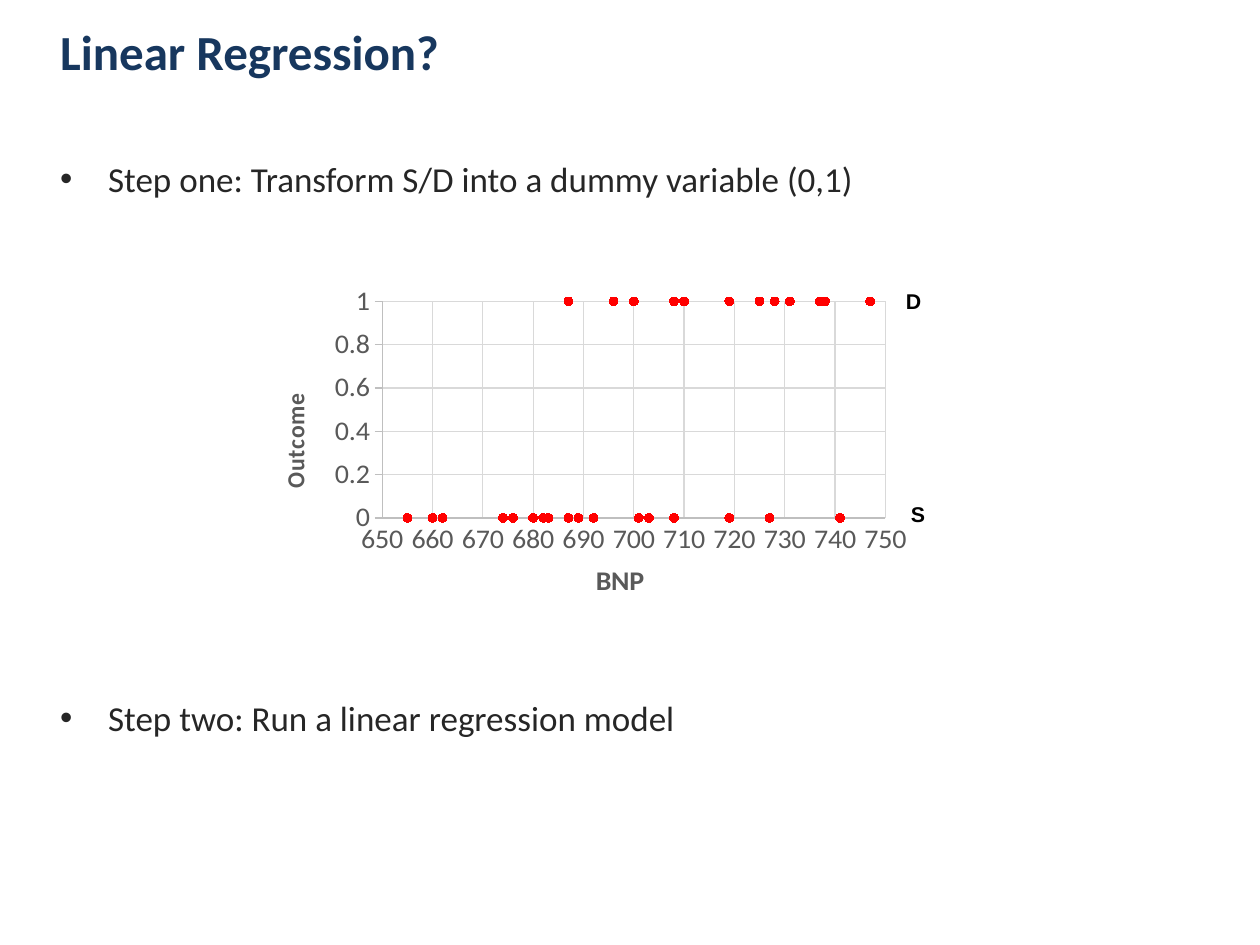
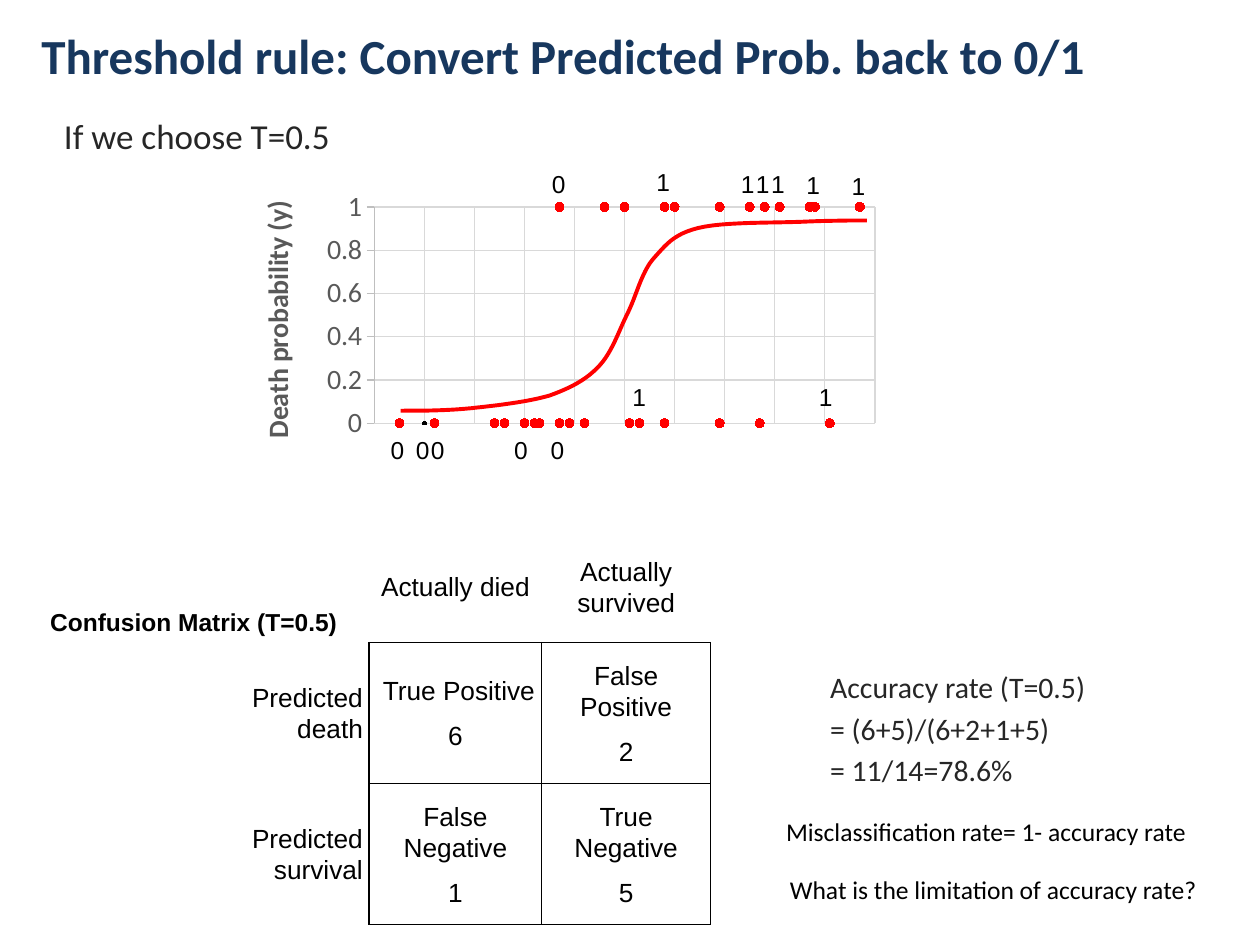
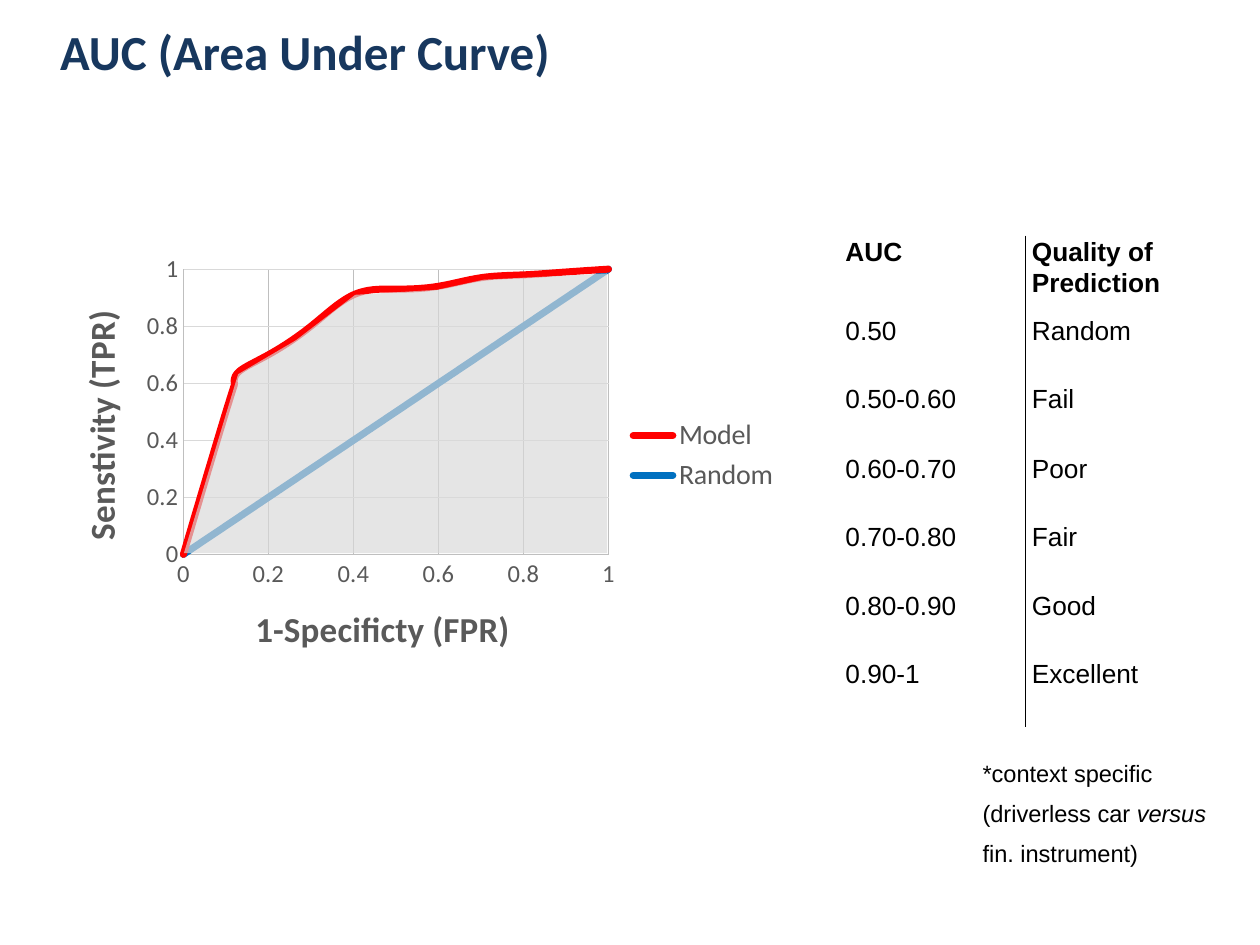
"""Build three slides on classification: regression, threshold rule and AUC."""
from dataclasses import dataclass
from typing import NamedTuple, Optional

from lxml import etree
from pptx import Presentation
from pptx.chart.data import XyChartData
from pptx.dml.color import RGBColor
from pptx.enum.chart import XL_CHART_TYPE, XL_LEGEND_POSITION, XL_MARKER_STYLE, XL_TICK_MARK
from pptx.enum.text import MSO_ANCHOR, PP_ALIGN
from pptx.oxml import parse_xml
from pptx.oxml.ns import nsdecls, qn
from pptx.util import Emu, Pt

SCATTER = XL_CHART_TYPE.XY_SCATTER
SMOOTH = XL_CHART_TYPE.XY_SCATTER_SMOOTH_NO_MARKERS
LEGEND_RIGHT = XL_LEGEND_POSITION.RIGHT
CIRCLE, NO_MARKER = XL_MARKER_STYLE.CIRCLE, XL_MARKER_STYLE.NONE
TICK_OUT, TICK_NONE = XL_TICK_MARK.OUTSIDE, XL_TICK_MARK.NONE
TOP, MIDDLE = MSO_ANCHOR.TOP, MSO_ANCHOR.MIDDLE
LEFT, CENTER, RIGHT = PP_ALIGN.LEFT, PP_ALIGN.CENTER, PP_ALIGN.RIGHT

SCALE = 9144
COLORS = {
    "title": "17375E", "body": "262626", "black": "000000", "red": "FF0000", "blue": "0070C0",
    "axis": "595959", "line": "BFBFBF", "grid": "D9D9D9",
}
SANS, HEAD = "Arial", "Calibri"


class Box(NamedTuple):
    """Position and size in px."""
    left: int
    top: int
    width: int
    height: int


class Run(NamedTuple):
    """A piece of text with one style."""
    text: str
    italic: bool = False


class Insets(NamedTuple):
    """Inner margins in px."""
    left: int = 10
    top: int = 5
    right: int = 10
    bottom: int = 5


@dataclass(frozen=True)
class Label:
    """A text box; each paragraph is a tuple of runs."""
    box: Box
    paragraphs: tuple[tuple[Run, ...], ...]
    size: float
    font: str = SANS
    color: str = "black"
    bold: bool = False
    gap: float = 0
    wrap: bool = False
    anchor: MSO_ANCHOR = TOP
    bullet: bool = False
    insets: Insets = Insets()


@dataclass(frozen=True)
class Axis:
    """Scale, title and look of a chart axis."""
    low: Optional[float]
    high: float
    step: Optional[float]
    size: int
    title: str = ""
    title_size: int = 16
    title_at: tuple[float, float] = (0, 0)
    grid: str = "grid"
    tick: XL_TICK_MARK = TICK_NONE
    visible: bool = True


@dataclass(frozen=True)
class Series:
    """Named points of a scatter chart."""
    name: str
    points: tuple[tuple[float, float], ...]
    color: str


@dataclass(frozen=True)
class Plot:
    """A scatter chart with a fixed inner plot area."""
    box: Box
    kind: XL_CHART_TYPE
    area: tuple[float, float, float, float]
    x: Axis
    y: Axis
    series: tuple[Series, ...]
    legend: bool = False
    dots: tuple[int, ...] = ()


@dataclass(frozen=True)
class Grid:
    """A table; edges names the ruled sides of each cell."""
    left: int
    top: int
    cols: tuple[int, ...]
    rows: tuple[int, ...]
    cells: tuple[tuple[str, ...], ...]
    edges: tuple[tuple[str, ...], ...]
    aligns: tuple[PP_ALIGN, ...]
    anchor: MSO_ANCHOR = TOP
    gap: int = 0
    bold_head: bool = False


def px(n: float) -> Emu:
    """Turn px into EMU."""
    return Emu(round(n * SCALE))


def rgb(name: str) -> RGBColor:
    """Look up a colour."""
    return RGBColor.from_string(COLORS[name])


def style(font, size: float, face: str, color: str, bold: bool = False) -> None:
    """Set the font of a run, paragraph or chart part."""
    font.size, font.name, font.bold = Pt(size), face, bold
    font.color.rgb = rgb(color)


def lines(*texts: str) -> tuple[tuple[Run, ...], ...]:
    """Make one plain paragraph per text."""
    return tuple((Run(text),) for text in texts)


def add_label(s, label: Label) -> None:
    """Draw a text box."""
    tf = s.shapes.add_textbox(*map(px, label.box)).text_frame
    tf.word_wrap, tf.vertical_anchor = label.wrap, label.anchor
    tf.margin_left, tf.margin_top, tf.margin_right, tf.margin_bottom = map(px, label.insets)
    for i, runs in enumerate(label.paragraphs):
        p = tf.add_paragraph() if i else tf.paragraphs[0]
        if i:
            p.space_before = Pt(label.gap)
        if label.bullet:
            pPr = p._p.get_or_add_pPr()
            pPr.set("marL", str(px(38)))
            pPr.set("indent", str(px(-38)))
            etree.SubElement(pPr, qn("a:buFont")).set("typeface", SANS)
            etree.SubElement(pPr, qn("a:buChar")).set("char", "•")
        for run in runs:
            r = p.add_run()
            r.text = run.text
            style(r.font, label.size, label.font, label.color, label.bold)
            r.font.italic = run.italic


def add_title(s, text: str, left: int = 38, top: int = 5, width: int = 820) -> None:
    """Draw a slide title."""
    add_label(s, Label(Box(left, top, width, 71), lines(text), 28, HEAD, "title", True,
                       wrap=True, anchor=MIDDLE))


def set_layout(parent, index: int, values: tuple[float, ...], inner: bool = False) -> None:
    """Fix the place of a chart part as fractions of the chart."""
    for old in parent.findall(qn("c:layout")):
        parent.remove(old)
    target = '<c:layoutTarget val="inner"/>' if inner else ""
    modes = '<c:xMode val="edge"/><c:yMode val="edge"/>'
    sizes = "".join(f'<c:{tag} val="{v}"/>' for tag, v in zip("xywh", values))
    parent.insert(index, parse_xml(
        f'<c:layout {nsdecls("c")}><c:manualLayout>{target}{modes}{sizes}</c:manualLayout></c:layout>'))


def format_axis(axis, look: Axis, turned: bool) -> None:
    """Apply scale, lines, labels and title to an axis."""
    axis.minimum_scale, axis.maximum_scale, axis.major_unit = look.low, look.high, look.step
    axis.major_tick_mark, axis.minor_tick_mark = look.tick, TICK_NONE
    axis.has_major_gridlines, axis.visible = True, look.visible
    for line, color in ((axis.major_gridlines.format.line, look.grid), (axis.format.line, "line")):
        line.color.rgb, line.width = rgb(color), Pt(0.75)
    style(axis.tick_labels.font, look.size, HEAD, "axis")
    axis.has_title = bool(look.title)
    if look.title:
        tf = axis.axis_title.text_frame
        r = tf.paragraphs[0].add_run()
        r.text = look.title
        style(r.font, look.title_size, HEAD, "axis", True)
        title = axis.axis_title._element
        title.find(".//" + qn("a:bodyPr")).set("rot", "-5400000" if turned else "0")
        set_layout(title, 1, look.title_at)


def paint_marker(marker, size: int, color: RGBColor) -> None:
    """Make a round marker of one colour."""
    marker.style, marker.size = CIRCLE, size
    marker.format.fill.solid()
    marker.format.fill.fore_color.rgb = color
    marker.format.line.color.rgb = color


def smooth_line(ser, color: RGBColor) -> None:
    """Draw a series as a thick smooth line with round ends."""
    ser.marker.style = NO_MARKER
    ser.format.line.color.rgb, ser.format.line.width = color, Pt(4)
    ser._element.find(qn("c:spPr")).find(qn("a:ln")).set("cap", "rnd")
    smooth = ser._element.find(qn("c:smooth"))
    if smooth is None:
        smooth = etree.SubElement(ser._element, qn("c:smooth"))
    smooth.set("val", "1")


def add_plot(s, plot: Plot) -> None:
    """Draw a scatter chart."""
    data = XyChartData()
    for series in plot.series:
        added = data.add_series(series.name)
        for x, y in series.points:
            added.add_data_point(x, y)
    chart = s.shapes.add_chart(plot.kind, *map(px, plot.box), data).chart
    chart.has_title, chart.has_legend = False, plot.legend
    style(chart.font, 10, HEAD, "black")
    if plot.legend:
        chart.legend.position, chart.legend.include_in_layout = LEGEND_RIGHT, False
        style(chart.legend.font, 16, HEAD, "axis")
    format_axis(chart.category_axis, plot.x, False)
    format_axis(chart.value_axis, plot.y, True)
    chart.plots[0].vary_by_categories = False
    for ser, series in zip(chart.plots[0].series, plot.series):
        if plot.kind == SMOOTH:
            smooth_line(ser, rgb(series.color))
            continue
        ser.format.line.fill.background()
        paint_marker(ser.marker, 5, rgb(series.color))
        for i in plot.dots:
            paint_marker(ser.points[i].marker, 2, rgb("black"))
    set_layout(chart._chartSpace.find(".//" + qn("c:plotArea")), 0, plot.area, True)


def rule_cell(cell, sides: str) -> None:
    """Rule the named sides of a cell and clear the others."""
    tcPr = cell._tc.get_or_add_tcPr()
    for i, side in enumerate("LRTB"):
        fill = f'<a:solidFill><a:srgbClr val="{COLORS["black"]}"/></a:solidFill>'
        tcPr.insert(i, parse_xml(f'<a:ln{side} {nsdecls("a")} w="12700">'
                                 f'{fill if side in sides else "<a:noFill/>"}</a:ln{side}>'))


def add_grid(s, grid: Grid) -> None:
    """Draw a table."""
    box = Box(grid.left, grid.top, sum(grid.cols), sum(grid.rows))
    table = s.shapes.add_table(len(grid.rows), len(grid.cols), *map(px, box)).table
    table.first_row = table.horz_banding = False
    for col, width in zip(table.columns, grid.cols):
        col.width = px(width)
    for row, height in zip(table.rows, grid.rows):
        row.height = px(height)
    for i, texts in enumerate(grid.cells):
        for j, text in enumerate(texts):
            cell = table.cell(i, j)
            cell.fill.background()
            rule_cell(cell, grid.edges[i][j])
            cell.vertical_anchor = grid.anchor
            cell.margin_left = cell.margin_right = px(5)
            cell.margin_top = cell.margin_bottom = 0
            for k, line in enumerate(text.split("\n") if text else ()):
                tf = cell.text_frame
                p = tf.add_paragraph() if k else tf.paragraphs[0]
                p.alignment, p.line_spacing = grid.aligns[j], 1.07
                p.space_after = Pt(grid.gap)
                r = p.add_run()
                r.text = line
                style(r.font, 15, SANS, "black", grid.bold_head and i == 0)


def bezier(points: tuple[tuple[int, int], ...], steps: int = 12) -> list[tuple[float, float]]:
    """Sample a chain of cubic curves."""
    sampled = [points[0]]
    for i in range(0, len(points) - 1, 3):
        for k in range(1, steps + 1):
            t = k / steps
            weights = ((1 - t) ** 3, 3 * t * (1 - t) ** 2, 3 * t * t * (1 - t), t ** 3)
            sampled.append(tuple(sum(w * q[axis] for w, q in zip(weights, points[i:i + 4]))
                                 for axis in (0, 1)))
    return sampled


def add_outline(s, points, closed: bool):
    """Draw a freeform through the points."""
    scaled = [(px(x), px(y)) for x, y in points]
    builder = s.shapes.build_freeform(*scaled[0])
    builder.add_line_segments(scaled[1:], close=closed)
    sp = builder.convert_to_shape()
    sp.shadow.inherit = False
    return sp


BNP = (655, 655, 660, 660, 662, 674, 676, 680, 682, 682, 683, 687, 687, 689, 692, 696, 700, 701,
       703, 708, 708, 710, 719, 719, 725, 727, 728, 728, 731, 731, 737, 738, 741, 747, 747)
DIED = "00000000000100011001010110111111011"
OUTCOMES = (Series("Series 1", tuple(zip(BNP, map(int, DIED))), "red"),)
FPR = (0, 0.1, 0.12, 0.13, 0.2, 0.3, 0.4, 0.5, 0.6, 0.7, 0.8, 0.9, 1)
TPR = (0, 0.5, 0.6, 0.64, 0.7, 0.8, 0.91, 0.93, 0.94, 0.97, 0.98, 0.99, 1)
CURVE = ((318, 326), (336, 326), (354, 326), (374, 324), (393, 322), (419, 319), (436, 314),
         (453, 308), (466, 301), (476, 290), (486, 279), (491, 263), (498, 249), (505, 235),
         (509, 217), (518, 206), (528, 195), (534, 186), (554, 181), (574, 176), (614, 177),
         (637, 176), (659, 175), (679, 175), (688, 175))
AREA = ((146, 439), (189, 297), (235, 270), (282, 234), (347, 230), (384, 222), (482, 217), (482, 439))
PREDICTIONS = (
    ("1", 497, 298), ("1", 516, 128), ("1", 583, 129), ("1", 595, 129), ("1", 635, 130),
    ("1", 671, 131), ("0", 433, 129), ("0", 432, 340), ("0", 337, 340), ("0", 325, 340),
    ("0", 305, 340), ("0", 403, 340), ("1", 607, 129), ("1", 645, 298),
)


def regression_slide(s) -> None:
    """Show outcomes as a dummy variable."""
    add_title(s, "Linear Regression?")
    add_label(s, Label(Box(38, 120, 924, 605),
                       lines("Step one: Transform S/D into a dummy variable (0,1)",
                             "Step two: Run a linear regression model"),
                       20, HEAD, "body", gap=284, wrap=True, bullet=True))
    add_plot(s, Plot(Box(217, 220, 514, 261), SCATTER, (0.168, 0.076, 0.777, 0.682),
                     Axis(None, 750, None, 16, "BNP", 16, (0.49, 0.88)),
                     Axis(0, 1, None, 16, "Outcome", 14, (0, 0.36), tick=TICK_OUT), OUTCOMES))
    for text, left, top in (("S", 713, 393), ("D", 709, 224)):
        add_label(s, Label(Box(left, top, 32, 31), lines(text), 12.2, bold=True))


def threshold_slide(s) -> None:
    """Show the threshold rule and its confusion matrix."""
    add_title(s, "Threshold rule: Convert Predicted Prob. back to 0/1", 23, 8, 861)
    add_label(s, Label(Box(41, 86, 924, 76), lines("If we choose T=0.5"), 20, HEAD, "body", wrap=True))
    add_grid(s, Grid(169, 421, (124, 137, 134), (89, 112, 112),
                     (("", "Actually died", "Actually survived"),
                      ("Predicted death", " True Positive\n6", "False Positive\n2"),
                      ("Predicted survival", "False Negative\n1", "True Negative\n5")),
                     (("", "B", "B"),) + (("R", "LRTB", "LRTB"),) * 2,
                     (RIGHT, CENTER, CENTER), MIDDLE, 8))
    add_plot(s, Plot(Box(185, 145, 539, 261), SCATTER, (0.208, 0.074, 0.737, 0.658),
                     Axis(None, 750, None, 16, visible=False),
                     Axis(0, 1, None, 16, "Death probability (y)", 16, (0.03, 0.04), tick=TICK_OUT),
                     OUTCOMES, dots=(2, 3)))
    sp = add_outline(s, bezier(CURVE), False)
    sp.fill.background()
    sp.line.color.rgb, sp.line.width = rgb("red"), Pt(2.25)
    for text, left, top in PREDICTIONS:
        add_label(s, Label(Box(left, top, 14, 34), lines(text), 14, insets=Insets(5, 5, 0, 5)))
    add_label(s, Label(Box(649, 526, 236, 96),
                       lines("Accuracy rate (T=0.5)", "= (6+5)/(6+2+1+5)", "= 11/14=78.6%"),
                       17, HEAD, "body", gap=3.4, wrap=True))
    add_label(s, Label(Box(30, 477, 254, 34), lines("Confusion Matrix (T=0.5)"), 14, bold=True))
    for text, box in (("Misclassification rate= 1- accuracy rate", Box(614, 643, 340, 35)),
                      ("What is the limitation of accuracy rate?", Box(617, 689, 345, 35))):
        add_label(s, Label(box, lines(text), 14.6, HEAD))


def auc_slide(s) -> None:
    """Show the area under the curve and how to grade it."""
    add_title(s, "AUC (Area Under Curve)")
    add_plot(s, Plot(Box(38, 195, 591, 333), SMOOTH, (0.182, 0.056, 0.571, 0.68),
                     Axis(None, 1, 0.2, 14, "1-Specificty (FPR)", 20, (0.27, 0.84), "line"),
                     Axis(None, 1, 0.2, 14, "Senstivity (TPR)", 20, (0.03, 0.14)),
                     (Series("Model", tuple(zip(FPR, TPR)), "red"),
                      Series("Random", tuple(zip(FPR, FPR)), "blue")), legend=True))
    sp = add_outline(s, AREA, True)
    sp.fill.solid()
    sp.fill.fore_color.rgb = rgb("grid")
    color = sp.fill._xPr.find(".//" + qn("a:srgbClr"))
    etree.SubElement(color, qn("a:alpha")).set("val", "67000")
    sp.line.fill.background()
    add_grid(s, Grid(666, 187, (148, 148), (63,) + (54, 55) * 3,
                     (("AUC", "Quality of Prediction"), ("0.50", "Random"), ("0.50-0.60", "Fail"),
                      ("0.60-0.70", "Poor"), ("0.70-0.80", "Fair"), ("0.80-0.90", "Good"),
                      ("0.90-1", "Excellent")),
                     (("R", "L"),) * 7, (LEFT, LEFT), bold_head=True))
    add_label(s, Label(Box(770, 597, 205, 101),
                       ((Run("*context specific"),),
                        (Run("(driverless car "), Run("versus", True)),
                        (Run("fin. instrument)"),)), 13.5, gap=6.75))


def main() -> None:
    """Build and save the slides."""
    prs = Presentation()
    prs.slide_width, prs.slide_height = px(1000), px(750)
    for draw in (regression_slide, threshold_slide, auc_slide):
        draw(prs.slides.add_slide(prs.slide_layouts[6]))
    prs.save("out.pptx")


if __name__ == "__main__":
    main()
